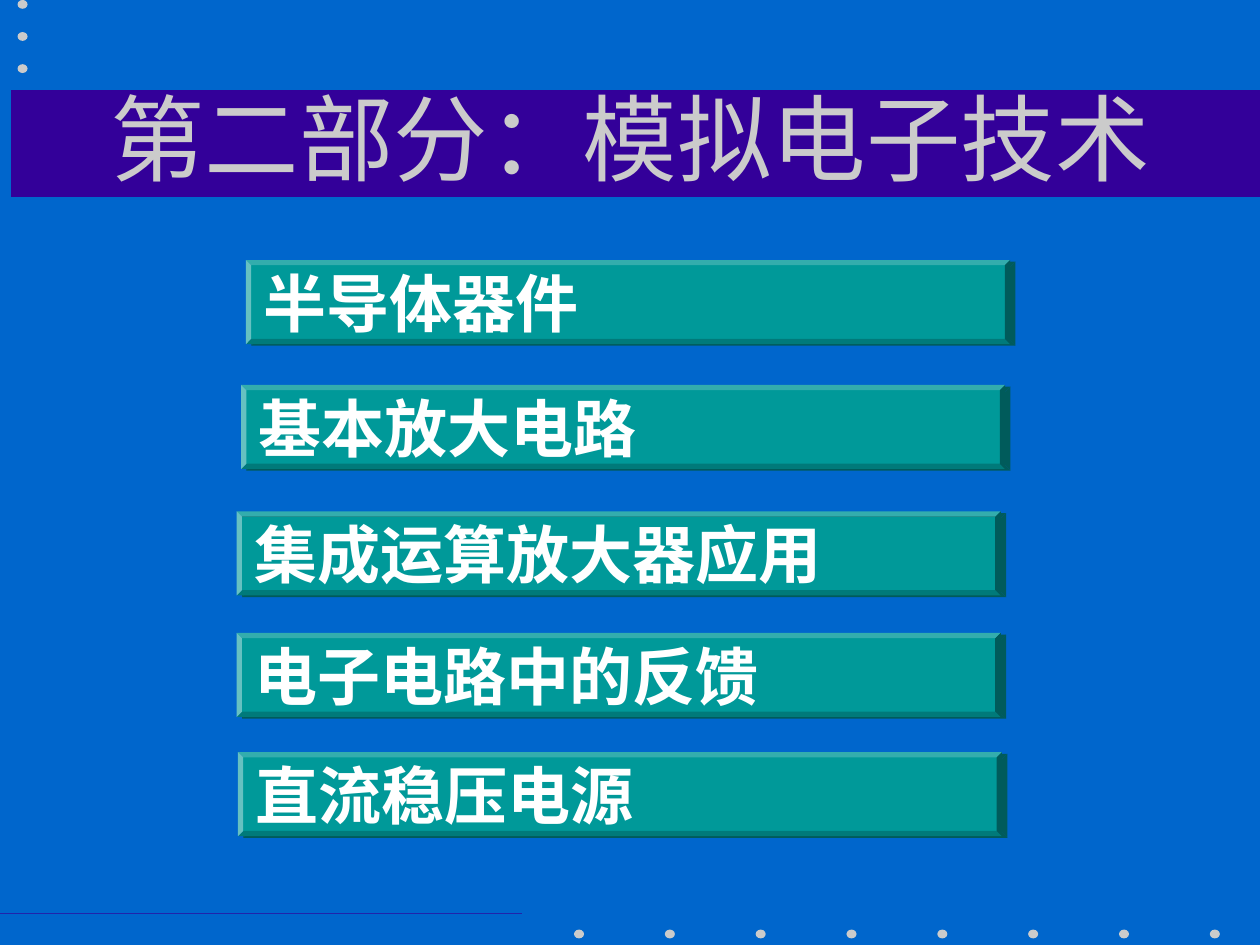
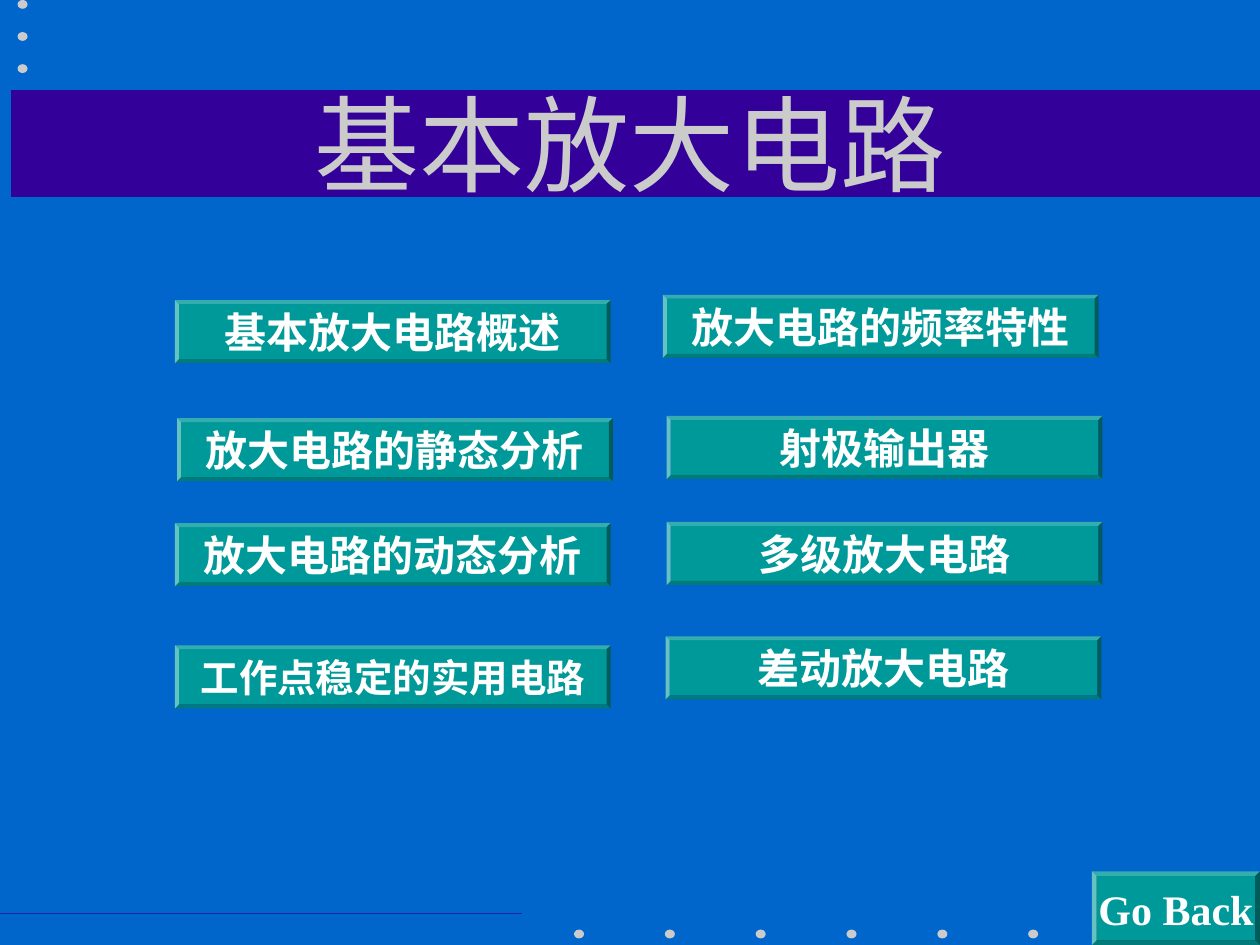
from dataclasses import dataclass
from lxml import etree
from pptx import Presentation
from pptx.dml.color import RGBColor
from pptx.enum.shapes import MSO_SHAPE
from pptx.enum.text import MSO_ANCHOR, PP_ALIGN
from pptx.oxml.ns import qn
from pptx.util import Pt

# Content: each menu entry is (text, left, top), lengths in points
PARTS_TITLE = "第二部分：模拟电子技术"
CHAPTERS = [
    ("半导体器件", 140.6, 148.6),
    ("基本放大电路", 137.8, 220),
    ("集成运算放大器应用", 135.3, 292.2),
    ("电子电路中的反馈", 135.3, 361.7),
    ("直流稳压电源", 136, 429.8),
]
AMPLIFIER_TITLE = "基本放大电路"
TOPICS = [
    ("基本放大电路概述", 100, 171.5),
    ("放大电路的静态分析", 101.2, 239),
    ("放大电路的动态分析", 100, 299),
    ("工作点稳定的实用电路", 100, 368.8),
    ("放大电路的频率特性", 378.8, 168.5),
    ("射极输出器", 381, 237.7),
    ("多级放大电路", 381, 298.3),
    ("差动放大电路", 380.4, 363.6),
]
LONG_TOPIC = 10  # characters from which a topic is set smaller
GO_BACK = ("Go Back", 624, 498)


@dataclass(frozen=True)
class Theme:
    font: str = "Times New Roman"
    background: str = "0066CC"
    band: str = "330099"
    light: str = "CBCBCB"
    button: str = "009999"
    button_text: str = "FFFFFF"
    button_shadow: str = "005B5B"
    parts_title: int = 54
    amplifier_title: int = 60
    chapter: int = 36
    topic: int = 24
    long_topic: int = 22


THEME = Theme()
SLIDE_W, SLIDE_H = 720, 540
BEVEL = 0.0625
DOT_W, DOT_H = 5.76, 5.04

CHAPTER_BUTTON = {"width": 436.6, "height": 48, "align": PP_ALIGN.LEFT, "shadow": (3.2, 18)}
TOPIC_BUTTON = {"width": 249, "height": 36, "align": PP_ALIGN.CENTER, "shadow": None}
BACK_BUTTON = {"width": 96, "height": 42, "align": PP_ALIGN.CENTER, "shadow": (1.4, 45)}


def apply_format(target, values):
    for attribute, value in values.items():
        setattr(target, attribute, value)


def add_plain(slide, preset, left, top, width, height, color):
    shape = slide.shapes.add_shape(preset, Pt(left), Pt(top), Pt(width), Pt(height))
    shape.shadow.inherit = False
    shape.fill.solid()
    shape.fill.fore_color.rgb = RGBColor.from_string(color)
    shape.line.fill.background()
    return shape


def write(shape, text, size, color, align, bold, frame_format):
    frame = shape.text_frame
    apply_format(frame, {
        "margin_left": Pt(7.2), "margin_right": Pt(7.2),
        "margin_top": Pt(3.6), "margin_bottom": Pt(3.6), **frame_format})
    paragraph = frame.paragraphs[0]
    paragraph.text = text
    paragraph.alignment = align
    font = paragraph.runs[0].font
    apply_format(font, {"name": THEME.font, "size": Pt(size), "bold": bold})
    font.color.rgb = RGBColor.from_string(color)


def cast_shadow(shape, distance, angle):
    effects = shape._element.spPr.find(qn("a:effectLst"))
    shadow = etree.SubElement(effects, qn("a:outerShdw"), dist=str(Pt(distance)),
                              dir=str(angle * 60000), algn="ctr", rotWithShape="0")
    etree.SubElement(shadow, qn("a:srgbClr"), val=THEME.button_shadow)


def add_button(slide, entry, size, style):
    text, left, top = entry
    button = add_plain(slide, MSO_SHAPE.BEVEL, left, top,
                       style["width"], style["height"], THEME.button)
    button.adjustments[0] = BEVEL
    if style["shadow"]:
        cast_shadow(button, *style["shadow"])
    write(button, text, size, THEME.button_text, style["align"], True,
          {"word_wrap": False, "vertical_anchor": MSO_ANCHOR.MIDDLE})


def add_titled_slide(deck, title, title_size):
    slide = deck.slides.add_slide(deck.slide_layouts[6])
    slide.background.fill.solid()
    slide.background.fill.fore_color.rgb = RGBColor.from_string(THEME.background)

    # Footer strip, covered so that only its top edge shows
    add_plain(slide, MSO_SHAPE.RECTANGLE, 0, 521.75, 298.3, 18.25, THEME.band)
    add_plain(slide, MSO_SHAPE.RECTANGLE, 0, 522, 300, 18, THEME.background)

    # Title band and the two rows of dots
    add_plain(slide, MSO_SHAPE.RECTANGLE, 6.4, 51.6, SLIDE_W - 6.4, 61, THEME.band)
    footer_dots = [(328 + 51.9 * i, 531.2) for i in range(8)]
    corner_dots = [(10, 18.35 * i) for i in range(3)]
    for left, top in footer_dots + corner_dots:
        add_plain(slide, MSO_SHAPE.OVAL, left, top, DOT_W, DOT_H, THEME.light)

    heading = slide.shapes.add_textbox(Pt(54), Pt(42), Pt(612), Pt(90))
    write(heading, title, title_size, THEME.light, PP_ALIGN.CENTER, False,
          {"word_wrap": True, "vertical_anchor": MSO_ANCHOR.TOP})
    return slide


def main():
    deck = Presentation()
    apply_format(deck, {"slide_width": Pt(SLIDE_W), "slide_height": Pt(SLIDE_H)})

    # Chapters of the second part
    chapters_slide = add_titled_slide(deck, PARTS_TITLE, THEME.parts_title)
    for chapter in CHAPTERS:
        add_button(chapters_slide, chapter, THEME.chapter, CHAPTER_BUTTON)

    # Topics of the amplifier chapter
    topics_slide = add_titled_slide(deck, AMPLIFIER_TITLE, THEME.amplifier_title)
    add_button(topics_slide, GO_BACK, THEME.topic, BACK_BUTTON)
    for topic in TOPICS:
        size = THEME.long_topic if len(topic[0]) >= LONG_TOPIC else THEME.topic
        add_button(topics_slide, topic, size, TOPIC_BUTTON)

    deck.save("out.pptx")


if __name__ == "__main__":
    main()
